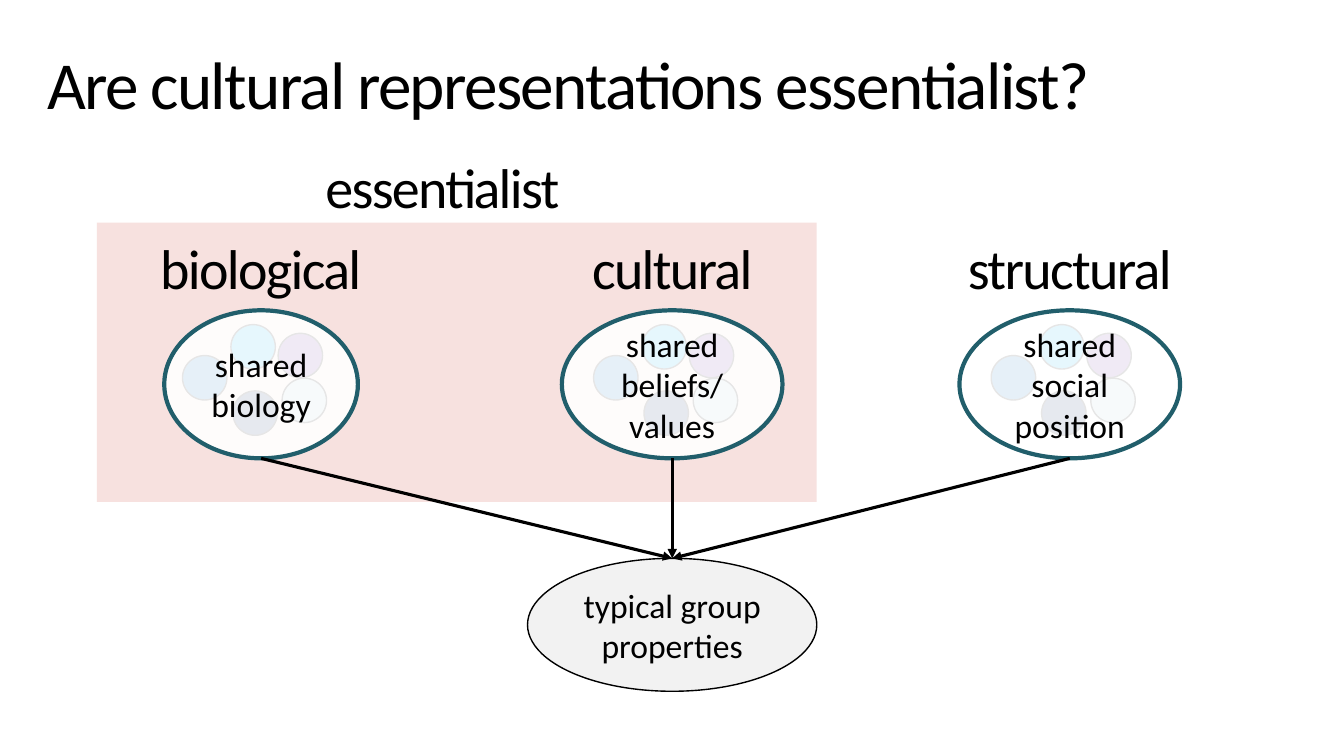
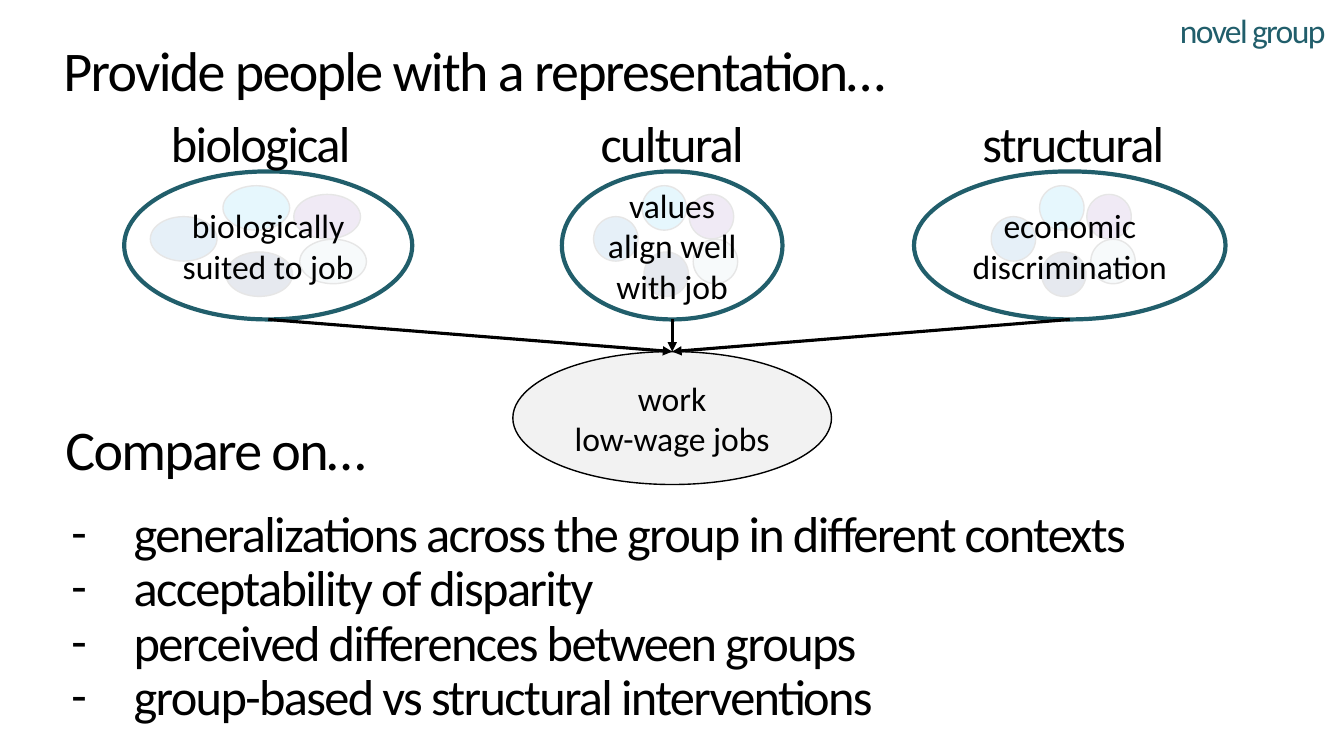
from dataclasses import dataclass

from lxml import etree
from pptx import Presentation
from pptx.dml.color import RGBColor
from pptx.enum.shapes import MSO_CONNECTOR, MSO_SHAPE
from pptx.enum.text import MSO_ANCHOR, PP_ALIGN
from pptx.oxml.ns import qn
from pptx.util import Cm, Pt

OVAL, RECT = MSO_SHAPE.OVAL, MSO_SHAPE.RECTANGLE
STRAIGHT = MSO_CONNECTOR.STRAIGHT
TOP, MIDDLE = MSO_ANCHOR.TOP, MSO_ANCHOR.MIDDLE
LEFT, CENTER, RIGHT = PP_ALIGN.LEFT, PP_ALIGN.CENTER, PP_ALIGN.RIGHT

BLACK = RGBColor(0x00, 0x00, 0x00)
WHITE = RGBColor(0xFF, 0xFF, 0xFF)
GRAY = RGBColor(0xF2, 0xF2, 0xF2)
PINK = RGBColor(0xF7, 0xE1, 0xDF)
TEAL = RGBColor(0x21, 0x5E, 0x6B)
NAVY = RGBColor(0x00, 0x20, 0x60)
CYAN = RGBColor(0x00, 0xB0, 0xF0)
BLUE = RGBColor(0x00, 0x70, 0xC0)
PURPLE = RGBColor(0x70, 0x30, 0xA0)
PALE = RGBColor(0xB5, 0xD2, 0xD9)

FONT = "Calibri"
TIGHT = -120
DOT = 1.12
CAUSE_H, EFFECT_H = 3.73, 3.35
LABEL_W, LABEL_H = 6.6, 2.24
HEAD_H = 2.54
CENTRE = 16.94
INDENT = 1.57


@dataclass(frozen=True)
class Box:
    left: float
    top: float
    width: float
    height: float

    def emu(self) -> tuple:
        return Cm(self.left), Cm(self.top), Cm(self.width), Cm(self.height)


@dataclass(frozen=True)
class Dot:
    """A group member: offset from the bubble's centre line and top."""
    right: float
    down: float
    color: RGBColor


@dataclass(frozen=True)
class Cause:
    label: str
    label_mid: float
    text: str
    mid: float
    width: float
    stretch: float = 1


@dataclass(frozen=True)
class Model:
    """Three causes that point at one effect."""
    causes: tuple
    cause_top: float
    label_mid: float
    label_size: int
    effect: str
    effect_top: float
    effect_width: float


DOTS = (
    Dot(-0.71, 2.03, NAVY),
    Dot(-0.76, 0.36, CYAN),
    Dot(-1.98, 1.14, BLUE),
    Dot(0.43, 0.58, PURPLE),
    Dot(0.53, 1.71, PALE),
)

ORIGINS = Model(
    causes=(
        Cause("biological", 6.57, "shared biology", 6.58, 4.88),
        Cause("cultural", CENTRE, "shared beliefs/\vvalues", CENTRE, 5.56),
        Cause("structural", 26.96, "shared social position", 26.96, 5.56),
    ),
    cause_top=7.82, label_mid=6.72, label_size=40,
    effect="typical group properties", effect_top=14.07, effect_width=7.29,
)

JOBS = Model(
    causes=(
        Cause("biological", 6.57, "biologically suited to job", 6.76, 7.26, 1.5),
        Cause("cultural", CENTRE, "values align well with job", CENTRE, 5.56),
        Cause("structural", 27.05, "economic discrimination", 26.96, 7.85),
    ),
    cause_top=4.32, label_mid=3.6, label_size=36,
    effect="work\vlow-wage jobs", effect_top=8.86, effect_width=8.03,
)

MEASURES = (
    "generalizations across the group in different contexts",
    "acceptability of disparity",
    "perceived differences between groups",
    "group-based vs structural interventions",
)


def style(target, values: dict) -> None:
    for name, value in values.items():
        setattr(target, name, value)


def write(shape, lines: tuple, size: int, align=CENTER, color=BLACK,
          anchor=MIDDLE, spacing: int = 0) -> None:
    frame = shape.text_frame
    style(frame, {"word_wrap": True, "vertical_anchor": anchor})
    frame.text = "\n".join(lines)
    for para in frame.paragraphs:
        para.alignment = align
        for run in para.runs:
            style(run.font, {"name": FONT, "size": Pt(size)})
            run.font.color.rgb = color
            if spacing:
                run._r.get_or_add_rPr().set("spc", str(spacing))


def add_text(slide, box: Box, lines: tuple, size: int, **look):
    text = slide.shapes.add_textbox(*box.emu())
    write(text, lines, size, spacing=TIGHT, **look)
    return text


def add_shape(shapes, kind, box: Box, fill: RGBColor, line=None,
              weight: float = 1):
    shape = shapes.add_shape(kind, *box.emu())
    shape.shadow.inherit = False
    shape.fill.solid()
    shape.fill.fore_color.rgb = fill
    if line is None:
        shape.line.fill.background()
    else:
        shape.line.color.rgb = line
        shape.line.width = Pt(weight)
    return shape


def fade(shape, percent: int) -> None:
    """Set the opacity of a solid fill."""
    color = shape._element.spPr.find(qn("a:solidFill"))[0]
    etree.SubElement(color, qn("a:alpha")).set("val", str(percent * 1000))


def add_cause(slide, cause: Cause, top: float) -> None:
    """Draw the group members under a nearly opaque bubble."""
    shapes = slide.shapes.add_group_shape().shapes
    for dot in DOTS:
        box = Box(cause.mid + dot.right * cause.stretch, top + dot.down,
                  DOT * cause.stretch, DOT)
        add_shape(shapes, OVAL, box, dot.color, BLACK)
    box = Box(cause.mid - cause.width / 2, top, cause.width, CAUSE_H)
    bubble = add_shape(shapes, OVAL, box, WHITE, TEAL, 3)
    fade(bubble, 90)
    write(bubble, (cause.text,), 24)


def add_arrow(slide, left: float, top: float, target) -> None:
    """Draw an arrow from a point to the top of the target."""
    start = Cm(left), Cm(top)
    arrow = slide.shapes.add_connector(STRAIGHT, *start, *start)
    arrow.end_connect(target, 0)
    arrow.line.color.rgb = BLACK
    arrow.line.width = Pt(2.25)
    props = arrow._element.spPr
    etree.SubElement(props.find(qn("a:ln")), qn("a:tailEnd")).set("type", "triangle")
    etree.SubElement(props, qn("a:effectLst"))


def add_model(slide, model: Model) -> None:
    box = Box(CENTRE - model.effect_width / 2, model.effect_top,
              model.effect_width, EFFECT_H)
    effect = add_shape(slide.shapes, OVAL, box, GRAY, BLACK)
    write(effect, (model.effect,), 24)
    for cause in model.causes:
        add_cause(slide, cause, model.cause_top)
        add_arrow(slide, cause.mid, model.cause_top + CAUSE_H, effect)
        box = Box(cause.label_mid - LABEL_W / 2,
                  model.label_mid - LABEL_H / 2, LABEL_W, LABEL_H)
        add_text(slide, box, (cause.label,), model.label_size)


def add_list(slide, box: Box, lines: tuple) -> None:
    """Write a dashed list with a hanging indent."""
    text = add_text(slide, box, lines, 36, align=LEFT, anchor=TOP)
    for para in text.text_frame.paragraphs:
        para.line_spacing = 0.9
        props = para._p.get_or_add_pPr()
        props.set("marL", str(Cm(INDENT)))
        props.set("indent", str(-Cm(INDENT)))
        etree.SubElement(props, qn("a:buFont")).set("typeface", FONT)
        etree.SubElement(props, qn("a:buChar")).set("char", "-")


def draw_origins(slide) -> None:
    add_shape(slide.shapes, RECT, Box(2.44, 5.61, 18.14, 7.04), PINK)
    add_model(slide, ORIGINS)
    add_text(slide, Box(6.78, 3.43, 8.74, HEAD_H), ("essentialist",), 40)
    add_text(slide, Box(0.94, 0.03, 32.61, 4.09),
             ("Are cultural representations essentialist?",), 48, align=LEFT)


def draw_jobs(slide) -> None:
    add_model(slide, JOBS)
    add_text(slide, Box(27.05, -0.36, LABEL_W, LABEL_H), ("novel group",), 24,
             align=RIGHT, color=TEAL)
    add_text(slide, Box(1.35, 0.46, 25.96, HEAD_H),
             ("Provide people with a representation…",), 40, align=LEFT)
    add_text(slide, Box(1.4, 10.03, 23.09, HEAD_H), ("Compare on…",), 40,
             align=LEFT)
    add_list(slide, Box(1.55, 12.7, 27.94, 5.87), MEASURES)


def main() -> None:
    deck = Presentation()
    style(deck, {"slide_width": Cm(33.87), "slide_height": Cm(19.05)})
    blank = deck.slide_layouts[6]
    for draw in (draw_origins, draw_jobs):
        draw(deck.slides.add_slide(blank))
    deck.save("out.pptx")


if __name__ == "__main__":
    main()
